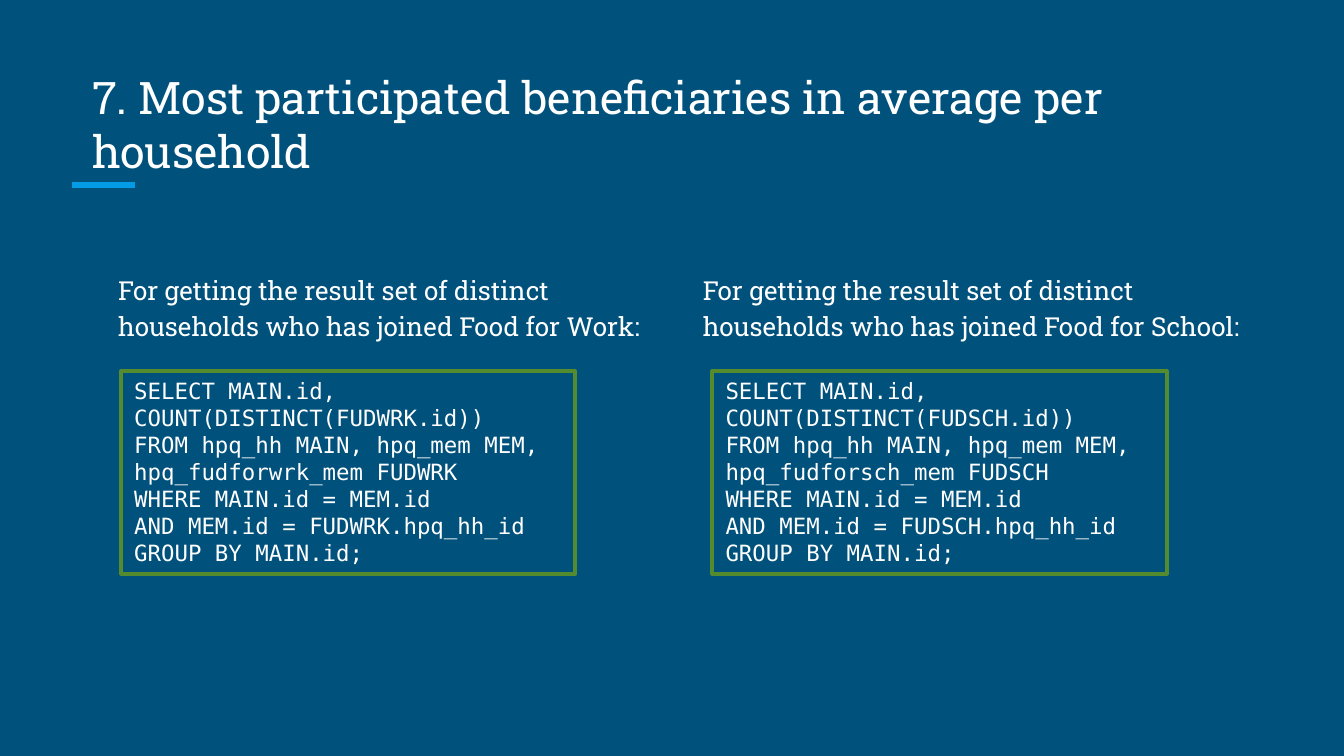
from dataclasses import dataclass

from lxml import etree
from pptx import Presentation
from pptx.dml.color import RGBColor
from pptx.enum.shapes import MSO_CONNECTOR, MSO_SHAPE
from pptx.enum.text import MSO_ANCHOR, PP_ALIGN
from pptx.oxml.ns import qn
from pptx.util import Pt

STRAIGHT = MSO_CONNECTOR.STRAIGHT
RECTANGLE = MSO_SHAPE.RECTANGLE
TOP, BOTTOM = MSO_ANCHOR.TOP, MSO_ANCHOR.BOTTOM
LEFT = PP_ALIGN.LEFT


@dataclass(frozen=True)
class Theme:
    background: RGBColor = RGBColor(0x00, 0x51, 0x7C)
    accent: RGBColor = RGBColor(0x03, 0x9B, 0xE5)
    code_border: RGBColor = RGBColor(0x55, 0x8B, 0x2F)
    text: RGBColor = RGBColor(0xFF, 0xFF, 0xFF)
    text_font: str = "Roboto Slab"
    code_font: str = "DejaVu Sans Mono"
    title_size: int = 24
    caption_size: int = 14
    code_size: int = 12


class SlideBuilder:
    def __init__(self, slide, theme):
        self.slide = slide
        self.theme = theme
        fill = slide.background.fill
        fill.solid()
        fill.fore_color.rgb = theme.background

    def format_text(self, text_frame, font_name, size):
        for paragraph in text_frame.paragraphs:
            paragraph.alignment = LEFT
            for run in paragraph.runs:
                run.font.name = font_name
                run.font.size = Pt(size)
                run.font.color.rgb = self.theme.text

    def text_box(self, text, left, top, width, height, size, anchor=TOP):
        box = self.slide.shapes.add_textbox(Pt(left), Pt(top), Pt(width), Pt(height))
        text_frame = box.text_frame
        text_frame.word_wrap = True
        text_frame.vertical_anchor = anchor
        text_frame.margin_left = text_frame.margin_right = Pt(7.2)
        text_frame.margin_top = text_frame.margin_bottom = Pt(7.2)
        text_frame.text = text
        self.format_text(text_frame, self.theme.text_font, size)
        return text_frame

    def title(self, text, left, top, width, height):
        self.text_box(text, left, top, width, height, self.theme.title_size, BOTTOM)

    def caption(self, text, left, top, width, height):
        text_frame = self.text_box(text, left, top, width, height, self.theme.caption_size)
        paragraph = text_frame.paragraphs[0]
        paragraph.line_spacing = 1.15
        paragraph.space_after = Pt(16)

    def code_box(self, code, left, top, width, height):
        shape = self.slide.shapes.add_shape(
            RECTANGLE, Pt(left), Pt(top), Pt(width), Pt(height))
        shape.shadow.inherit = False
        shape.fill.solid()
        shape.fill.fore_color.rgb = self.theme.background
        shape.line.color.rgb = self.theme.code_border
        shape.line.width = Pt(2)
        text_frame = shape.text_frame
        text_frame.word_wrap = True
        text_frame.vertical_anchor = TOP
        text_frame.text = code
        self.format_text(text_frame, self.theme.code_font, self.theme.code_size)

    def accent_line(self, left, right, y):
        line = self.slide.shapes.add_connector(STRAIGHT, Pt(left), Pt(y), Pt(right), Pt(y))
        line.line.color.rgb = self.theme.accent
        line.line.width = Pt(3)
        etree.SubElement(line._element.spPr, qn("a:effectLst"))


def household_query(table, alias):
    return "\n".join([
        f"SELECT MAIN.id, COUNT(DISTINCT({alias}.id))",
        "FROM hpq_hh MAIN, hpq_mem MEM,",
        f"{table} {alias}",
        "WHERE MAIN.id = MEM.id",
        f"AND MEM.id = {alias}.hpq_hh_id",
        "GROUP BY MAIN.id;",
    ])


def main():
    presentation = Presentation()
    presentation.slide_width = Pt(720)
    presentation.slide_height = Pt(405)
    slide = presentation.slides.add_slide(presentation.slide_layouts[6])
    builder = SlideBuilder(slide, Theme())

    builder.accent_line(38.7, 72.2, 99.2)
    builder.title("7. Most participated beneficiaries in average per household",
                  42.3, 48.2, 659, 54)

    programs = [
        ("Food for Work", "hpq_fudforwrk_mem", "FUDWRK", 56.2, 64.8),
        ("Food for School", "hpq_fudforsch_mem", "FUDSCH", 369.4, 381.6),
    ]
    for program, table, alias, caption_left, code_left in programs:
        builder.caption(
            f"For getting the result set of distinct households who has joined {program}:",
            caption_left, 137.5, 313.2, 56)
        builder.code_box(household_query(table, alias), code_left, 198.7, 243.4, 108.7)

    presentation.save("out.pptx")


if __name__ == "__main__":
    main()
